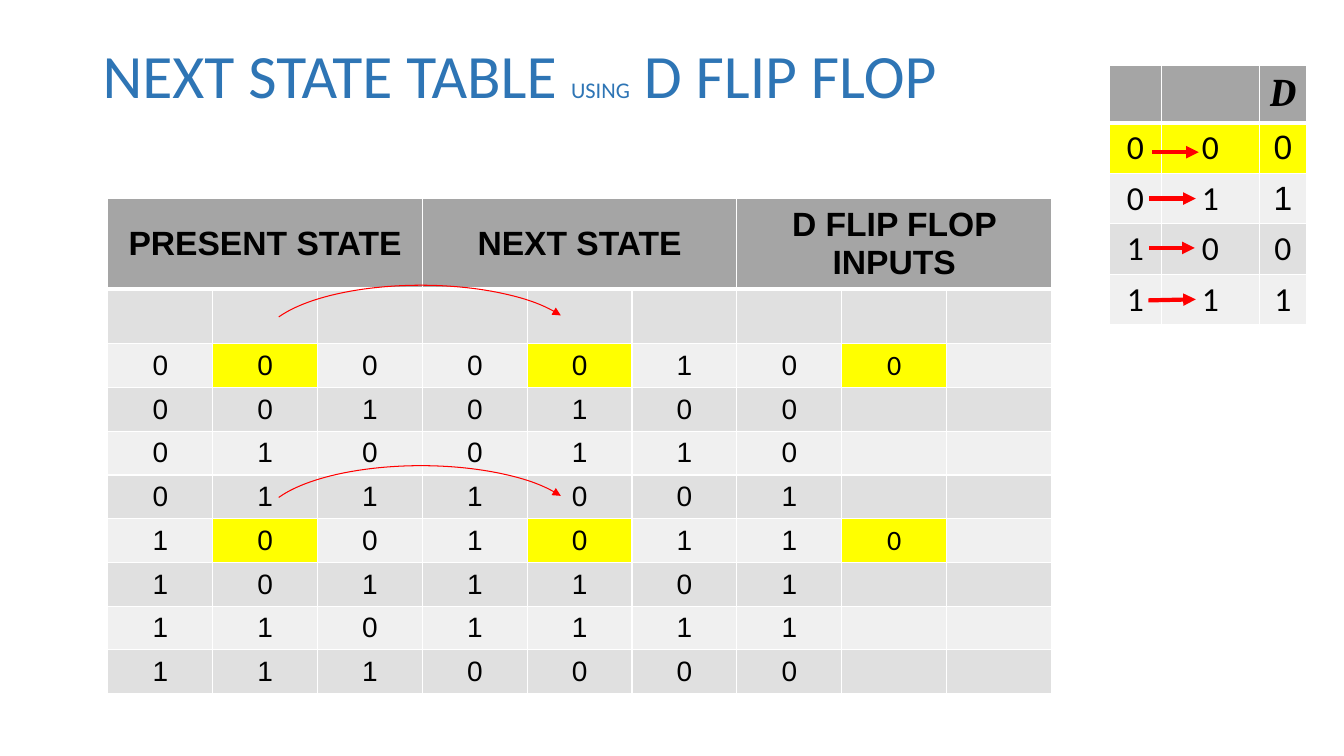
from lxml.etree import SubElement
from pptx import Presentation
from pptx.dml.color import RGBColor
from pptx.enum.shapes import MSO_CONNECTOR, MSO_SHAPE
from pptx.enum.text import MSO_ANCHOR, PP_ALIGN
from pptx.oxml.ns import qn
from pptx.util import Inches, Pt

BLUE = RGBColor(0x2E, 0x75, 0xB5)
RED = RGBColor(0xFF, 0x00, 0x00)
YELLOW = RGBColor(0xFF, 0xFF, 0x00)
HEADER_GREY = RGBColor(0xA5, 0xA5, 0xA5)
DARK_BAND = RGBColor(0xE0, 0xE0, 0xE0)
LIGHT_BAND = RGBColor(0xF0, 0xF0, 0xF0)
BLACK = RGBColor(0x00, 0x00, 0x00)


def add_run(paragraph, text, size, font, color=BLACK, bold=False, italic=False):
    """Append one formatted run to a paragraph."""
    run = paragraph.add_run()
    run.text = text
    run.font.size = Pt(size)
    run.font.name = font
    run.font.color.rgb = color
    run.font.bold = bold
    run.font.italic = italic


def add_title(slide):
    """Add the slide title in mixed sizes."""
    title = slide.shapes.add_textbox(Inches(0.92), Inches(0.4), Inches(11.5), Inches(1.45))
    title.text_frame.word_wrap = True
    title.text_frame.vertical_anchor = MSO_ANCHOR.TOP
    heading = title.text_frame.paragraphs[0]
    heading.line_spacing = 0.9
    for text, size in (("NEXT STATE TABLE ", 44), ("USING", 16), (" D FLIP FLOP", 44)):
        add_run(heading, text, size, "Calibri", BLUE)


def add_borders(cell, top, bottom):
    """Draw white borders round a cell, with the given top and bottom widths."""
    properties = cell._tc.get_or_add_tcPr()
    for side, width in (("L", 1), ("R", 1), ("T", top), ("B", bottom)):
        border = SubElement(properties, qn(f"a:ln{side}"), w=str(Pt(width)))
        SubElement(SubElement(border, qn("a:solidFill")), qn("a:srgbClr"), val="FFFFFF")


def add_grid(slide, left, top, widths, heights, highlights):
    """Add a banded table with a grey header row and highlighted cells."""
    frame = slide.shapes.add_table(len(heights), len(widths), Inches(left), Inches(top),
                                   Inches(sum(widths)), Inches(sum(heights)))
    grid = frame.table
    for column, width in zip(grid.columns, widths):
        column.width = Inches(width)
    for r, height in enumerate(heights):
        grid.rows[r].height = Inches(height)
        band = HEADER_GREY if r == 0 else DARK_BAND if r % 2 else LIGHT_BAND
        for c, cell in enumerate(grid.rows[r].cells):
            add_borders(cell, top=3 if r == 1 else 1, bottom=3 if r == 0 else 1)
            cell.fill.solid()
            cell.fill.fore_color.rgb = YELLOW if (r, c) in highlights else band
            cell.vertical_anchor = MSO_ANCHOR.MIDDLE
    return grid


def write_cell(cell, text, size, font, bold=False, italic=False):
    """Write centred text in a table cell."""
    paragraph = cell.text_frame.paragraphs[0]
    paragraph.alignment = PP_ALIGN.CENTER
    add_run(paragraph, text, size, font, bold=bold, italic=italic)


def style_arrow(arrow, width):
    """Give a line the red colour, a width and a triangle head."""
    arrow.line.color.rgb = RED
    arrow.line.width = Pt(width)
    SubElement(arrow.line._get_or_add_ln(), qn("a:tailEnd"), type="triangle")


def add_transition_arrow(slide, x1, y1, x2, y2):
    """Add a straight arrow from a present bit to its next bit."""
    arrow = slide.shapes.add_connector(MSO_CONNECTOR.STRAIGHT, Inches(x1), Inches(y1),
                                       Inches(x2), Inches(y2))
    style_arrow(arrow, 3)
    SubElement(arrow._element.spPr, qn("a:effectLst"))


def add_state_arc(slide, top):
    """Add a curved arrow from the present state to the next state."""
    arc = slide.shapes.add_shape(MSO_SHAPE.ARC, Inches(2.59), Inches(top),
                                 Inches(3.17), Inches(1.16))
    arc.adjustments[0] = 114.384
    arc.adjustments[1] = 209.146
    arc.shadow.inherit = False
    arc.fill.background()
    style_arrow(arc, 0.75)


def add_excitation_table(slide):
    """Add the small D flip flop table with its transition arrows."""
    grid = add_grid(slide, 11, 0.65, [0.52, 0.97, 0.47], [0.57] + [0.5] * 4,
                    {(1, c) for c in range(3)})
    write_cell(grid.cell(0, 2), "D", 28, "Cambria", bold=True, italic=True)
    for r, bits in enumerate(("000", "011", "100", "111"), start=1):
        for c, bit in enumerate(bits):
            font = "Arial" if c == 2 and r <= 2 else "Calibri"
            write_cell(grid.cell(r, c), bit, 24, font)
    for ends in ((11.4, 1.97, 11.86, 1.97), (11.4, 2.46, 11.85, 2.46),
                 (11.39, 2.98, 11.86, 2.97), (11.43, 1.51, 11.89, 1.51)):
        add_transition_arrow(slide, *ends)


def add_state_table(slide):
    """Add the three-bit counter table with present, next and input columns."""
    marked_states = (0, 4)
    highlights = {(state + 2, c) for state in marked_states for c in (1, 4, 7)}
    grid = add_grid(slide, 1.07, 1.97, [1.04] * 9, [0.5, 0.54] + [0.43] * 8, highlights)
    for group, heading in enumerate(("PRESENT STATE", "NEXT STATE", "D FLIP FLOP INPUTS")):
        first = grid.cell(0, group * 3)
        first.merge(grid.cell(0, group * 3 + 2))
        write_cell(first, heading, 24, "Arial", bold=True)
    for state in range(8):
        next_bits = f"{(state + 1) % 8:03b}"
        for c, bit in enumerate(f"{state:03b}" + next_bits + next_bits[0]):
            write_cell(grid.cell(state + 2, c), bit, 20, "Arial")
        if state in marked_states:
            write_cell(grid.cell(state + 2, 7), next_bits[1], 20, "Calibri")


def main():
    """Build the slide and save it."""
    deck = Presentation()
    deck.slide_width = Inches(13.33)
    deck.slide_height = Inches(7.5)
    slide = deck.slides.add_slide(deck.slide_layouts[6])
    add_title(slide)
    add_excitation_table(slide)
    add_state_table(slide)
    for top in (2.83, 4.62):
        add_state_arc(slide, top)
    deck.save("out.pptx")


if __name__ == "__main__":
    main()
